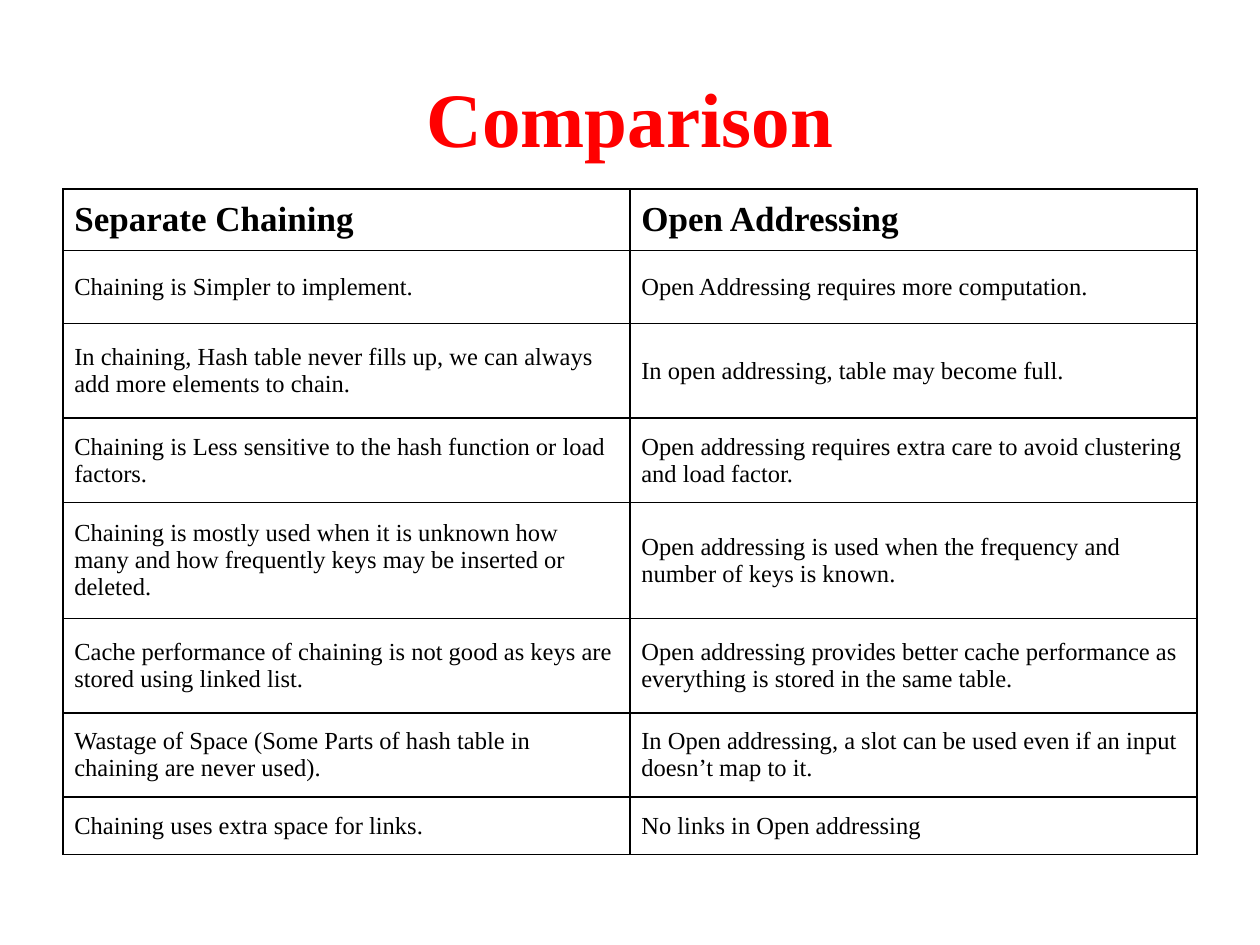
from lxml import etree
from pptx import Presentation
from pptx.dml.color import RGBColor
from pptx.enum.text import MSO_ANCHOR, PP_ALIGN
from pptx.oxml.ns import qn
from pptx.util import Inches, Pt

MIDDLE = MSO_ANCHOR.MIDDLE
CENTER = PP_ALIGN.CENTER
RED = RGBColor(0xFF, 0x00, 0x00)
BLACK = RGBColor(0x00, 0x00, 0x00)
FONT = "Times New Roman"
TITLE_ONLY = 5

ROW_HEIGHTS = [0.36, 0.58, 0.75, 0.58, 0.92, 0.75, 0.58, 0.41]
COMPARISON = [
    ("Separate Chaining", "Open Addressing"),
    ("Chaining is Simpler to implement.",
     "Open Addressing requires more computation."),
    ("In chaining, Hash table never fills up, we can always add more elements to chain.",
     "In open addressing, table may become full."),
    ("Chaining is Less sensitive to the hash function or load factors.",
     "Open addressing requires extra care to avoid clustering and load factor."),
    ("Chaining is mostly used when it is unknown how many and how frequently keys may be inserted or deleted.",
     "Open addressing is used when the frequency and number of keys is known."),
    ("Cache performance of chaining is not good as keys are stored using linked list.",
     "Open addressing provides better cache performance as everything is stored in the same table."),
    ("Wastage of Space (Some Parts of hash table in chaining are never used).",
     "In Open addressing, a slot can be used even if an input doesn’t map to it."),
    ("Chaining uses extra space for links.", "No links in Open addressing"),
]


def format_text(frame, size, color, bold):
    for run in frame.paragraphs[0].runs:
        run.font.name = FONT
        run.font.size = Pt(size)
        run.font.bold = bold
        run.font.color.rgb = color


def add_borders(cell):
    properties = cell._tc.get_or_add_tcPr()
    for position, side in enumerate(("lnL", "lnR", "lnT", "lnB")):
        line = etree.Element(qn(f"a:{side}"), w=str(Pt(1)))
        fill = etree.SubElement(line, qn("a:solidFill"))
        etree.SubElement(fill, qn("a:srgbClr"), val=str(BLACK))
        properties.insert(position, line)


prs = Presentation()
prs.slide_width, prs.slide_height = Inches(10), Inches(7.5)
slide = prs.slides.add_slide(prs.slide_layouts[TITLE_ONLY])
margin = int(prs.slide_width * 0.05)
content_width = prs.slide_width - 2 * margin

# Title
title = slide.shapes.title
title.left, title.top = margin, int(prs.slide_height * 0.04)
title.width, title.height = content_width, Inches(1.25)
title.text_frame.text = "Comparison"
title.text_frame.vertical_anchor = MIDDLE
title.text_frame.paragraphs[0].alignment = CENTER
format_text(title.text_frame, 44, RED, True)

# Comparison table: header row, then one row per aspect
table = slide.shapes.add_table(
    len(COMPARISON), 2, margin, int(prs.slide_height * 0.2),
    content_width, Inches(5.4)).table
table.first_row = table.horz_banding = False
for column in table.columns:
    column.width = content_width // 2

for row_index, texts in enumerate(COMPARISON):
    is_header = row_index == 0
    table.rows[row_index].height = Inches(ROW_HEIGHTS[row_index])
    for column_index, text in enumerate(texts):
        cell = table.cell(row_index, column_index)
        cell.text_frame.text = text
        cell.vertical_anchor = MIDDLE
        cell.margin_left = cell.margin_right = Inches(0.09)
        cell.margin_top = cell.margin_bottom = Inches(0.09 if is_header else 0.12)
        cell.fill.background()
        add_borders(cell)
        format_text(cell.text_frame, 20 if is_header else 14, BLACK, is_header)

prs.save("out.pptx")
